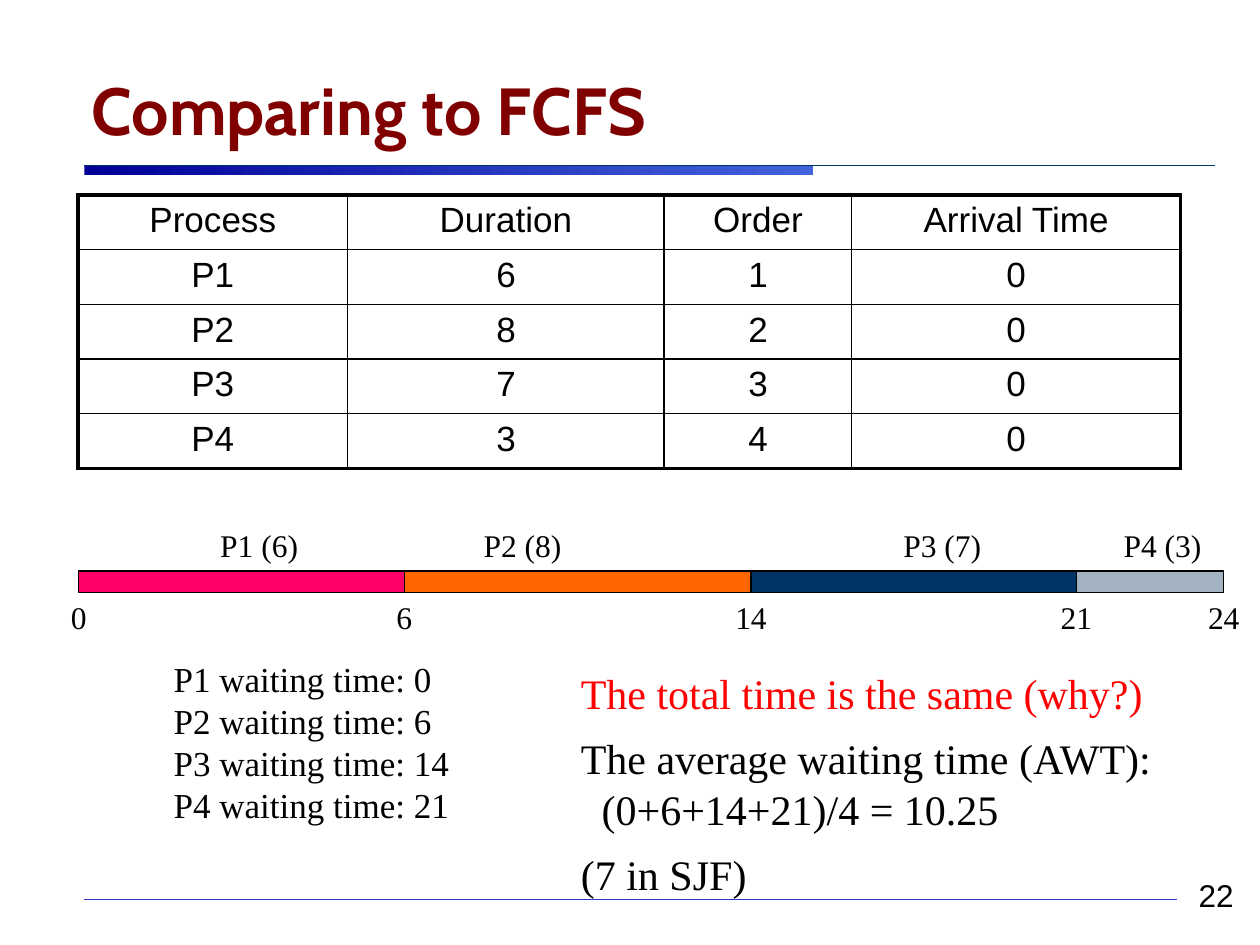
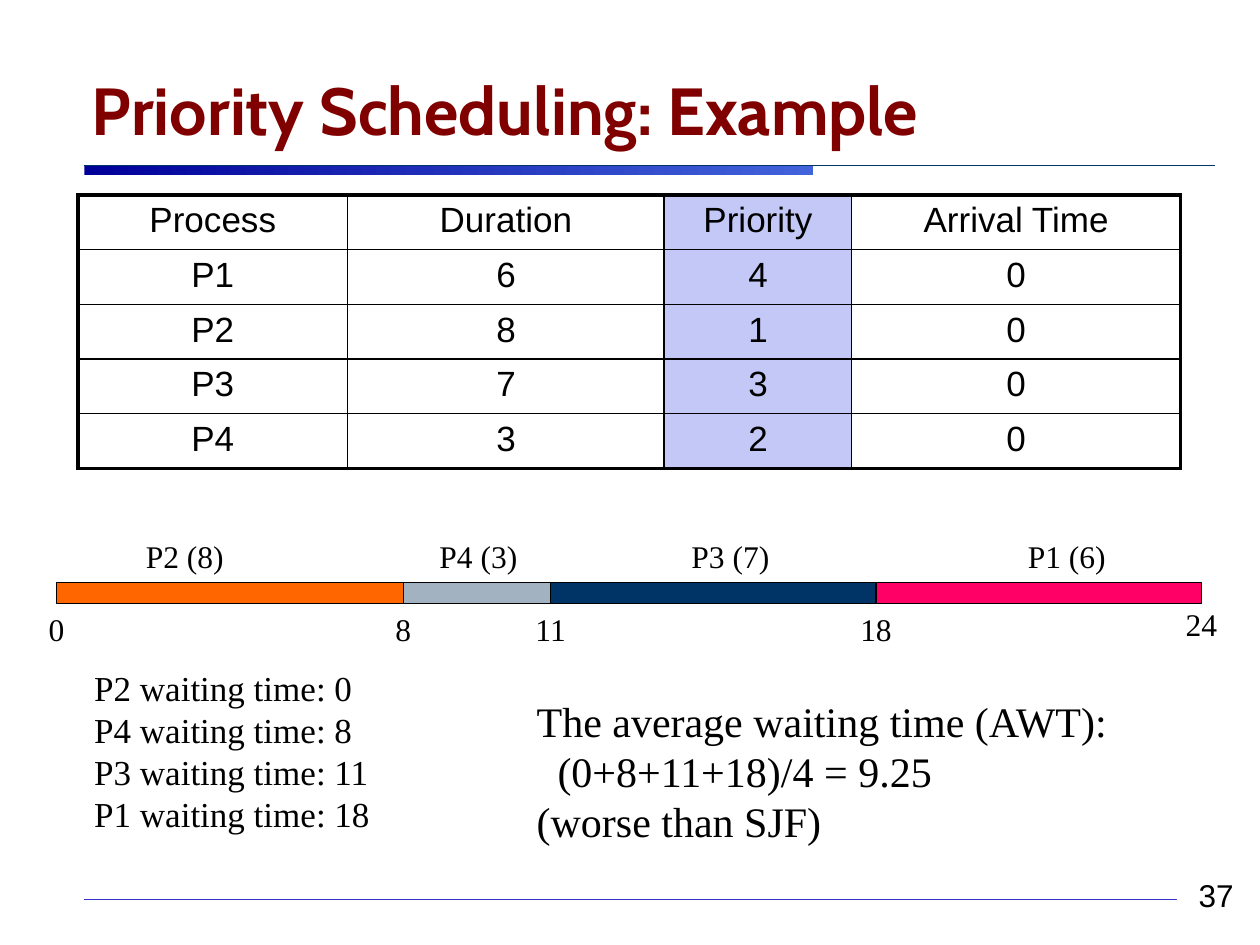
import dataclasses
import itertools
from typing import Dict, List, Optional, Tuple

import pptx
import pptx.dml.color
import pptx.enum.shapes
import pptx.enum.text
import pptx.oxml.ns
import pptx.util
from lxml import etree
from pptx.util import Cm, Pt

ALIGN = pptx.enum.text.PP_ALIGN
ANCHOR = pptx.enum.text.MSO_ANCHOR
BLACK, RED, MAROON, NAVY = "000000", "FF0000", "800000", "003366"
LILAC = "C3C8F7"
SERIF, SANS, HEAD = "Times New Roman", "Arial", "Cabin"
COLS = [5.44, 6.38, 3.78, 6.63]
ROW = 1.06
BAR = 0.43


@dataclasses.dataclass
class Task:
    time: int
    width: float
    fill: str


TASKS: Dict[str, Task] = {
    "P1": Task(6, 6.56, "FF0066"),
    "P2": Task(8, 6.99, "FF6600"),
    "P3": Task(7, 6.56, NAVY),
    "P4": Task(3, 2.97, "A3B2C1"),
}


@dataclasses.dataclass
class Line:
    text: str
    color: str = BLACK
    before: float = 0
    indent: float = 0


@dataclasses.dataclass
class Text:
    """A text box: place and size in cm, and one style for its lines."""
    left: float
    top: float
    width: float
    height: float
    lines: List[Line]
    size: float
    font: str = SERIF
    align: ALIGN = ALIGN.LEFT
    anchor: ANCHOR = ANCHOR.TOP
    wrap: bool = True


@dataclasses.dataclass
class Chart:
    """Run order of the tasks, with the left edge of each label."""
    left: float
    top: float
    labels: Dict[str, float]
    lift: float = 0  # how far the last tick sits above the others


@dataclasses.dataclass
class Page:
    title: str
    number: int
    rank: str
    ranks: List[int]
    tint: Optional[str]
    chart: Chart
    waits: Tuple[float, float]
    notes: Text


PAGES = [
    Page("Comparing to FCFS", 22, "Order", [1, 2, 3, 4], None,
         Chart(1.59, 11.51, {"P1": 4.19, "P2": 9.5, "P3": 17.96, "P4": 22.4}),
         (3.25, 13.13),
         Text(11.46, 13.34, 12.32, 4.93, [
             Line("The total time is the same (why?)", RED, 8.4),
             Line("The average waiting time (AWT):", before=8.4),
             Line("(0+6+14+21)/4 = 10.25", indent=0.42),
             Line("(7 in SJF)", before=8.4)], 24)),
    Page("Priority Scheduling: Example", 37, "Priority", [4, 1, 3, 2], LILAC,
         Chart(1.14, 11.74, {"P2": 2.69, "P4": 8.61, "P3": 13.69, "P1": 20.47}, 0.1),
         (1.65, 13.31),
         Text(10.57, 13.89, 13.44, 3.81, [
             Line("The average waiting time (AWT):"),
             Line("(0+8+11+18)/4 = 9.25", indent=0.42),
             Line("(worse than SJF)")], 24)),
]


def rgb(code: str) -> pptx.dml.color.RGBColor:
    return pptx.dml.color.RGBColor.from_string(code)


def style(para, size: float, font: str, color: str, bold: bool = False) -> None:
    for run in para.runs:
        run.font.size = Pt(size)
        run.font.name = font
        run.font.bold = bold
        run.font.color.rgb = rgb(color)


def add_text(slide, text: Text) -> None:
    box = slide.shapes.add_textbox(
        Cm(text.left), Cm(text.top), Cm(text.width), Cm(text.height))
    frame = box.text_frame
    frame.word_wrap = text.wrap
    frame.vertical_anchor = text.anchor
    frame.text = "\n".join(line.text for line in text.lines)
    for para, line in zip(frame.paragraphs, text.lines):
        para.alignment = text.align
        para.space_before = Pt(line.before)
        if line.indent:
            para._p.get_or_add_pPr().set("marL", str(Cm(line.indent)))
        style(para, text.size, text.font, line.color)


def add_rule(slide, left: float, top: float, right: float, color: str, width: float) -> None:
    rule = slide.shapes.add_connector(
        pptx.enum.shapes.MSO_CONNECTOR.STRAIGHT, Cm(left), Cm(top), Cm(right), Cm(top))
    rule.line.color.rgb = rgb(color)
    rule.line.width = Pt(width)
    etree.SubElement(rule._element.spPr, pptx.oxml.ns.qn("a:effectLst"))


def add_block(slide, left: float, top: float, width: float, height: float):
    block = slide.shapes.add_shape(
        pptx.enum.shapes.MSO_SHAPE.RECTANGLE, Cm(left), Cm(top), Cm(width), Cm(height))
    block.shadow.inherit = False
    return block


def add_frame(slide, page: Page) -> None:
    """Draw the title, its band, the foot rule and the page number."""
    band = add_block(slide, 1.7, 3.33, 14.7, 0.2)
    band.line.fill.background()
    band.fill.gradient()
    band.fill.gradient_angle = 0
    for stop, place, color in zip(band.fill.gradient_stops, (0, 1), ("000099", "4263DB")):
        stop.position = place
        stop.color.rgb = rgb(color)
    add_rule(slide, 1.7, 3.33, 24.5, NAVY, 0.75)
    add_rule(slide, 1.7, 18.13, 23.72, "3333CC", 0.25)
    add_text(slide, Text(21.31, 17.53, 3.81, 1.02, [Line(str(page.number))], 18,
                         SANS, ALIGN.RIGHT, ANCHOR.BOTTOM))
    title = slide.shapes.title
    title.left, title.top, title.width, title.height = Cm(1.6), Cm(0.84), Cm(20.9), Cm(2.29)
    frame = title.text_frame
    frame.text = page.title
    frame.auto_size = pptx.enum.text.MSO_AUTO_SIZE.NONE
    frame.vertical_anchor = ANCHOR.BOTTOM
    frame.paragraphs[0].alignment = ALIGN.LEFT
    style(frame.paragraphs[0], 38, HEAD, MAROON, True)


def add_edge(cell, side: str, width: float) -> None:
    qn = pptx.oxml.ns.qn
    edge = etree.SubElement(cell._tc.get_or_add_tcPr(), qn(f"a:ln{side}"), w=str(Pt(width)))
    fill = etree.SubElement(edge, qn("a:solidFill"))
    etree.SubElement(fill, qn("a:srgbClr"), val=BLACK)


def add_grid(slide, page: Page) -> None:
    rows = [["Process", "Duration", page.rank, "Arrival Time"]]
    for (name, task), rank in zip(TASKS.items(), page.ranks):
        rows.append([name, str(task.time), str(rank), "0"])
    table = slide.shapes.add_table(
        len(rows), len(COLS), Cm(1.57), Cm(3.93), Cm(sum(COLS)), Cm(ROW * len(rows))).table
    table.first_row = table.horz_banding = False
    for col, width in zip(table.columns, COLS):
        col.width = Cm(width)
    for y, row in enumerate(rows):
        table.rows[y].height = Cm(ROW)
        for x, word in enumerate(row):
            cell = table.cell(y, x)
            cell.text = word
            para = cell.text_frame.paragraphs[0]
            para.alignment = ALIGN.CENTER
            style(para, 20, SANS, BLACK)
            outer = {"L": x == 0, "R": x == len(COLS) - 1,
                     "T": y == 0, "B": y == len(rows) - 1}
            for side, thick in outer.items():
                add_edge(cell, side, 2.25 if thick else 1)
            if page.tint and x == 2:
                cell.fill.solid()
                cell.fill.fore_color.rgb = rgb(page.tint)
            else:
                cell.fill.background()


def add_tick(slide, mid: float, top: float, value: int) -> None:
    add_text(slide, Text(mid - 0.6, top, 1.2, 1.02, [Line(str(value))], 18,
                         align=ALIGN.CENTER, wrap=False))


def add_chart(slide, chart: Chart) -> None:
    left, time = chart.left, 0
    tick = chart.top + BAR
    for name, label in chart.labels.items():
        task = TASKS[name]
        bar = add_block(slide, left, chart.top, task.width, BAR)
        bar.fill.solid()
        bar.fill.fore_color.rgb = rgb(task.fill)
        bar.line.color.rgb = rgb(BLACK)
        bar.line.width = Pt(0.75)
        add_text(slide, Text(label, chart.top - 1.04, 2.11, 1.02,
                             [Line(f"{name} ({task.time})")], 18, wrap=False))
        add_tick(slide, left, tick, time)
        left += task.width
        time += task.time
    add_tick(slide, left, tick - chart.lift, time)


def add_waits(slide, page: Page) -> None:
    """List the waiting times: each task waits for all those before it."""
    names = list(page.chart.labels)
    starts = itertools.accumulate((TASKS[name].time for name in names), initial=0)
    lines = [Line(f"{name} waiting time: {start}") for name, start in zip(names, starts)]
    left, top = page.waits
    add_text(slide, Text(left, top, 6.12, 4.95, lines, 20, wrap=False))


def main() -> None:
    deck = pptx.Presentation()
    deck.slide_width, deck.slide_height = Cm(25.4), Cm(19.05)
    for page in PAGES:
        slide = deck.slides.add_slide(deck.slide_layouts[5])
        add_frame(slide, page)
        add_grid(slide, page)
        add_chart(slide, page.chart)
        add_waits(slide, page)
        add_text(slide, page.notes)
    deck.save("out.pptx")


if __name__ == "__main__":
    main()
